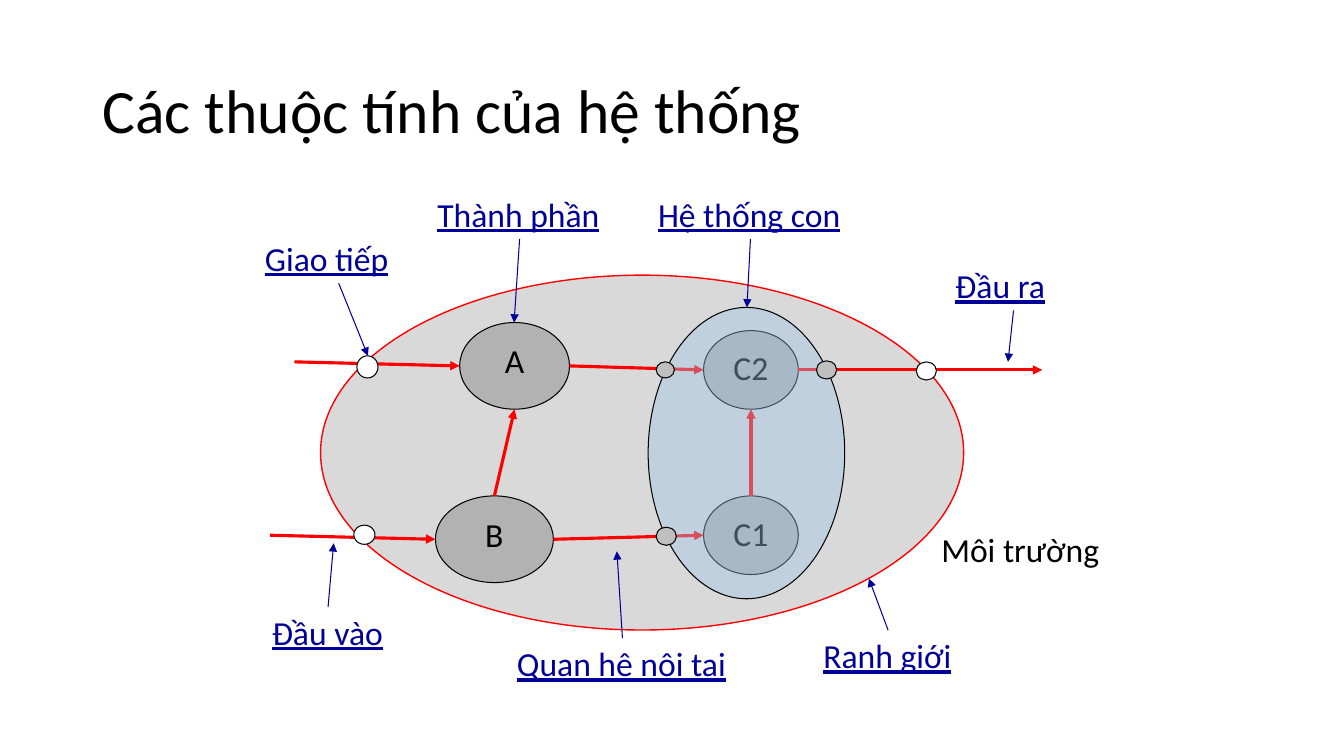
from lxml.etree import SubElement
from pptx import Presentation
from pptx.dml.color import RGBColor
from pptx.enum.shapes import MSO_CONNECTOR as Connector, MSO_SHAPE as Shape
from pptx.enum.text import MSO_ANCHOR as Anchor, PP_ALIGN as Align
from pptx.oxml.ns import qn
from pptx.util import Inches, Pt

CELL = Inches(0.1)
COLUMNS, ROWS = 133.33, 75
BLACK, WHITE, RED, NAVY = "000000", "FFFFFF", "FF0000", "000099"
NODE_GRAY, PORT_GRAY = "B2B2B2", "BFBFBF"

deck = Presentation()
deck.slide_width, deck.slide_height = int(COLUMNS * CELL), ROWS * CELL
page = deck.slides.add_slide(deck.slide_layouts[6])
color = RGBColor.from_string


def write(box, text, size=24, ink=BLACK, align=Align.LEFT, anchor=Anchor.TOP,
          underline=False, wrap=True, spacing=1.0):
    frame = box.text_frame
    frame.word_wrap, frame.vertical_anchor = wrap, anchor
    para = frame.paragraphs[0]
    para.alignment, para.line_spacing = align, spacing
    span = para.add_run()
    span.text = text
    span.font.name, span.font.size = "Calibri", Pt(size)
    span.font.underline = underline
    span.font.color.rgb = color(ink)


def draw(kind, grid, line, weight, fill=None):
    ends = [round(value * CELL) for value in grid]
    if kind == "arrow":
        item = page.shapes.add_connector(Connector.STRAIGHT, *ends)
        SubElement(item.line._get_or_add_ln(), qn("a:tailEnd"), type="triangle")
        SubElement(item._element.spPr, qn("a:effectLst"))
    else:
        item = page.shapes.add_shape(Shape.OVAL, *ends)
        item.shadow.inherit = False
        item.fill.solid()
        item.fill.fore_color.rgb = color(fill)
    item.line.color.rgb, item.line.width = color(line), Pt(weight)
    return item


texts = [
    ("Các thuộc tính của hệ thống", (9.2, 4, 115, 14.5),
     dict(size=44, anchor=Anchor.MIDDLE, spacing=0.9)),
    ("Môi trường", (92.4, 52, 18, 5.8), {}),
]
labels = [
    ("Đầu vào", (26, 60.2, 13.1, 5), (33.1, 53.9)),
    ("Giao tiếp", (25.3, 23.1, 16.6, 5), (36.5, 35.3)),
    ("Quan hệ nội tại", (50.3, 63.3, 22.9, 5), (61.2, 54.7)),
    ("Hệ thống con", (64.3, 18.7, 20.3, 5), (74.1, 30.5)),
    ("Ranh giới", (80.7, 62.5, 14.8, 5), (86.2, 57.4)),
    ("Đầu ra", (93.8, 25.8, 13.5, 5), (100, 35.9)),
    ("Thành phần", (42.4, 18.7, 18.3, 5), (51, 32)),
]
nodes = {
    "A": (45.6, 32, 10.9, 8.6),
    "B": (43.2, 49.2, 11.7, 8.6),
    "C1": (69.8, 49.2, 9.4, 7.8),
    "C2": (69.8, 32.8, 9.4, 7.8),
}

draw("oval", (31.8, 27.3, 63.8, 35.2), RED, 1, "D9D9D9")

sides = {}
for name, (left, top, width, height) in nodes.items():
    node = draw("oval", nodes[name], BLACK, 0.75, NODE_GRAY)
    write(node, name, align=Align.CENTER)
    middle, center = top + height / 2, left + width / 2
    sides[name] = dict(left=(left, middle), right=(left + width, middle),
                       top=(center, top), bottom=(center, top + height))

flows = [
    ((29.2, 35.9), sides["A"]["left"]),
    ((26.8, 53.1), sides["B"]["left"]),
    (sides["A"]["right"], sides["C2"]["left"]),
    (sides["B"]["right"], sides["C1"]["left"]),
    (sides["B"]["top"], sides["A"]["bottom"]),
    (sides["C1"]["top"], sides["C2"]["bottom"]),
    (sides["C2"]["right"], (103.4, 36.7)),
]
for start, end in flows:
    draw("arrow", start + end, RED, 2.25)

subsystem = draw("oval", (64.3, 30.5, 19.5, 28.9), BLACK, 0.75, "9DC3E6")
tint = subsystem._element.spPr.find(qn("a:solidFill"))[0]
SubElement(tint, qn("a:alpha"), val="40000")

ports = [
    (35.1, 52.1, 2.1, 1.9, WHITE), (35.4, 35.3, 2.1, 2.2, WHITE),
    (90.9, 35.9, 2, 1.8, WHITE), (65.1, 35.9, 1.8, 1.6, PORT_GRAY),
    (81, 35.8, 2, 1.8, PORT_GRAY), (65.1, 52.3, 2, 1.8, PORT_GRAY),
]
for *grid, fill in ports:
    draw("oval", grid, BLACK, 0.75, fill)

for text, grid, target in labels:
    left, top, width, height = grid
    start_row = top + height if target[1] > top else top
    draw("arrow", (left + width / 2, start_row) + target, NAVY, 0.75)
    texts.append((text, grid, dict(ink=NAVY, underline=True, wrap=False)))

for text, grid, style in texts:
    box = page.shapes.add_textbox(*[round(value * CELL) for value in grid])
    write(box, text, **style)

deck.save("out.pptx")
